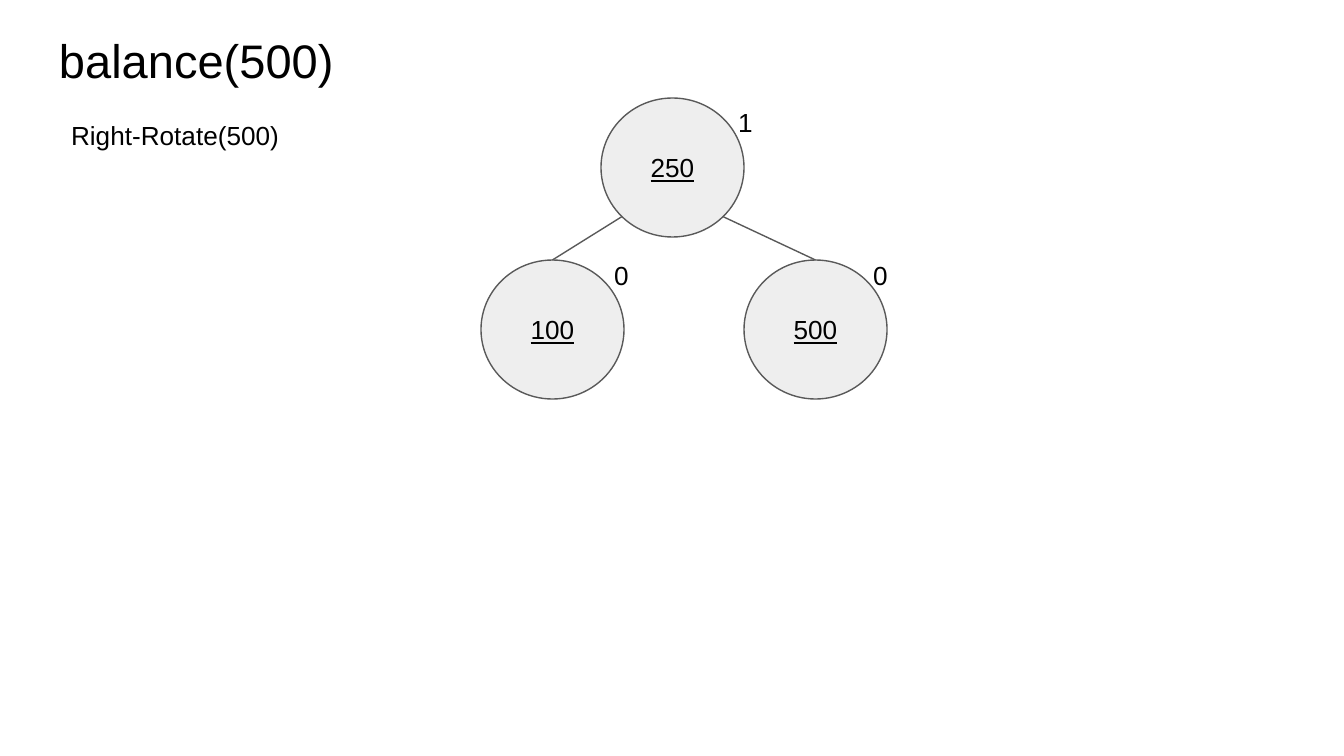
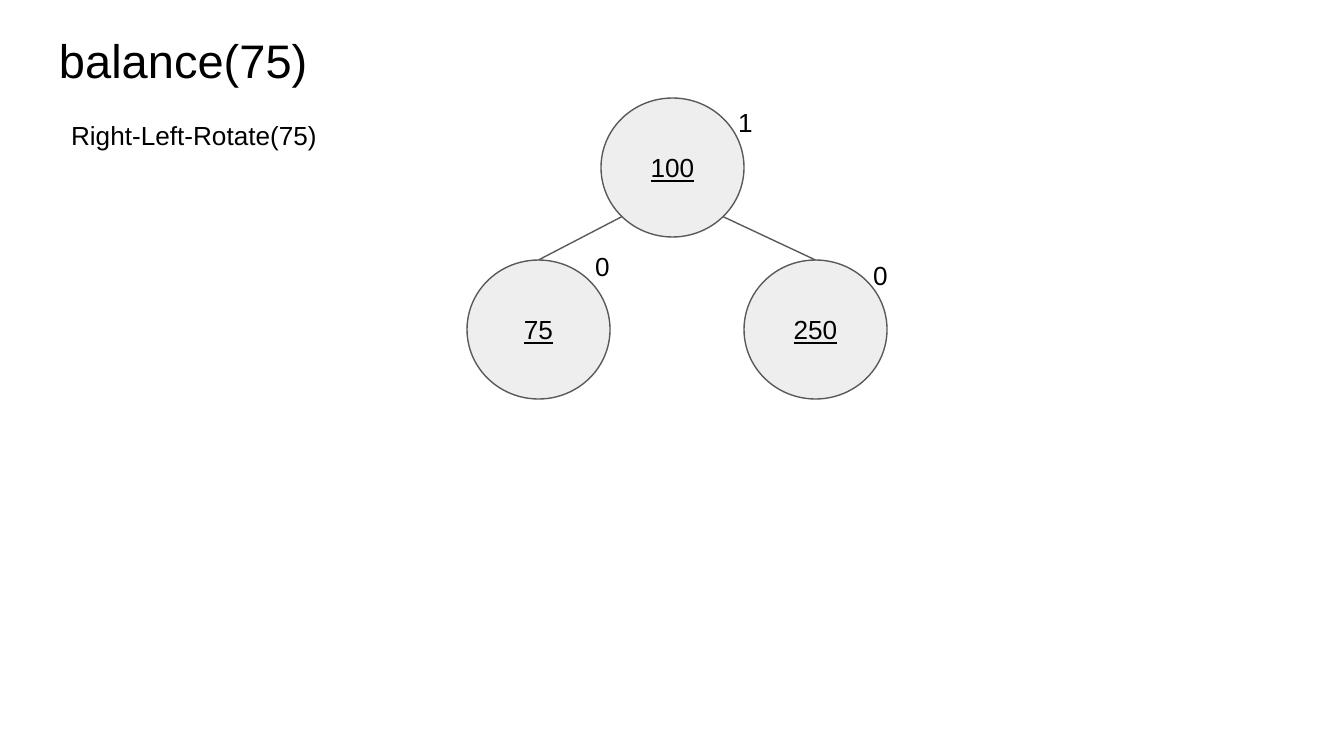
from math import sqrt

from pptx import Presentation
from pptx.dml.color import RGBColor
from pptx.enum.shapes import MSO_CONNECTOR, MSO_SHAPE
from pptx.enum.text import MSO_ANCHOR, MSO_AUTO_SIZE, PP_ALIGN
from pptx.oxml.ns import qn
from pptx.util import Pt

ELLIPSE = MSO_SHAPE.OVAL
STRAIGHT = MSO_CONNECTOR.STRAIGHT
TOP, MIDDLE = MSO_ANCHOR.TOP, MSO_ANCHOR.MIDDLE
LEFT, CENTER = PP_ALIGN.LEFT, PP_ALIGN.CENTER
NO_FIT, GROW = MSO_AUTO_SIZE.NONE, MSO_AUTO_SIZE.SHAPE_TO_FIT_TEXT

# Shared style
EMU_PER_PX = 914400 / 134.4
FONT = "Arial"
BLACK, NODE_FILL, OUTLINE = "000000", "EEEEEE", "595959"
INSET = 13
NODE_W, NODE_H = 143, 139
LABEL_H = 59
ROOT_X, ROOT_Y = 601, 98
RIGHT_X, CHILD_Y = 744, 260
CORNER = (1 - 1 / sqrt(2)) / 2  # inset of an ellipse's diagonal point


def px(n):
    return round(n * EMU_PER_PX)


def box(*lengths):
    return [px(n) for n in lengths]


def rgb(color):
    return RGBColor.from_string(color)


def set_line(shape):
    shape.line.color.rgb = rgb(OUTLINE)
    shape.line.width = Pt(0.75)


def write(shape, text, size=14, align=LEFT, anchor=TOP, fit=NO_FIT, underline=None):
    tf = shape.text_frame
    tf.word_wrap = True
    tf.auto_size = fit
    tf.vertical_anchor = anchor
    tf.margin_left = tf.margin_right = tf.margin_top = tf.margin_bottom = px(INSET)
    p = tf.paragraphs[0]
    p.text = text
    p.alignment = align
    font = p.font
    font.name, font.size, font.underline = FONT, Pt(size), underline
    font.color.rgb = rgb(BLACK)


def add_title(s, text):
    title = s.shapes.title
    title.left, title.top, title.width, title.height = box(46, 13, 1253, 85)
    write(title, text, size=25.2)
    title.text_frame.margin_top = px(18)
    title.text_frame.margin_bottom = px(10)


def add_label(s, text, x, y, w):
    write(s.shapes.add_textbox(*box(x, y, w, LABEL_H)), text, fit=GROW)


def add_node(s, key, x, y):
    node = s.shapes.add_shape(ELLIPSE, *box(x, y, NODE_W, NODE_H))
    node.shadow.inherit = False
    node.fill.solid()
    node.fill.fore_color.rgb = rgb(NODE_FILL)
    set_line(node)
    write(node, key, align=CENTER, anchor=MIDDLE, underline=True)
    return node


def add_edge(s, parent, child, side):
    """Join a lower diagonal point of the parent to the top of the child."""
    across = CORNER if side == "left" else 1 - CORNER
    x = round(parent.left + parent.width * across)
    y = round(parent.top + parent.height * (1 - CORNER))
    edge = s.shapes.add_connector(STRAIGHT, x, y, x, y)
    edge.end_connect(child, 0)
    set_line(edge)
    sp_pr = edge._element.spPr
    sp_pr.append(sp_pr.makeelement(qn("a:effectLst"), {}))


def add_tree_slide(prs, title, step, step_w, keys, left_x, left_height):
    s = prs.slides.add_slide(prs.slide_layouts[5])
    add_title(s, title)

    # Nodes and edges
    root = add_node(s, keys[0], ROOT_X, ROOT_Y)
    left = add_node(s, keys[1], left_x, CHILD_Y)
    right = add_node(s, keys[2], RIGHT_X, CHILD_Y)
    add_edge(s, root, left, "left")
    add_edge(s, root, right, "right")

    # Node heights and the rotation step
    add_label(s, "1", 725, 93, 43)
    add_label(s, "0", *left_height)
    add_label(s, "0", 860, 246, 75)
    add_label(s, step, 58, 106, step_w)


def main():
    prs = Presentation()
    prs.slide_width, prs.slide_height = box(1344, 756)
    add_tree_slide(prs, "balance(500)", "Right-Rotate(500)", 849,
                   ("250", "100", "500"), 481, (601, 246, 43))
    add_tree_slide(prs, "balance(75)", "Right-Left-Rotate(75)", 410,
                   ("100", "75", "250"), 467, (582, 237, 75))
    prs.save("out.pptx")


if __name__ == "__main__":
    main()
